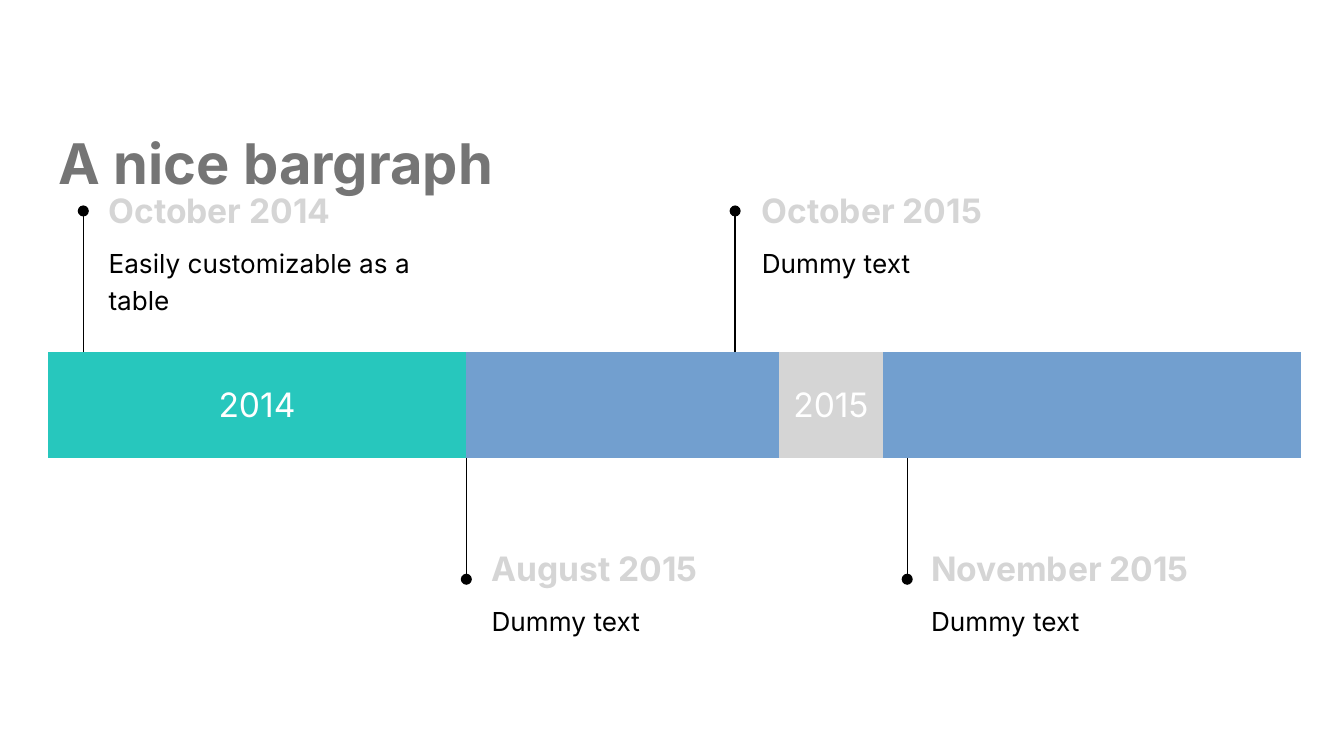
from pptx import Presentation
from pptx import util as u
from pptx.dml.color import RGBColor
from pptx.enum import shapes, text
from pptx.oxml.ns import qn
from lxml import etree

TEAL, GRAY = "27C7BD", "D5D5D5"
BLACK, WHITE, TITLE_GRAY = "000000", "FFFFFF", "757575"
NO_STYLE = "{2D5ABB26-0587-4C30-8999-92F81FD0307C}"
BAR_LEFT, BAR_TOP, BAR_WIDTH, BAR_HEIGHT = 0.36, 2.62, 9.32, 0.79
MONTHS = 12


def color(value):
    return RGBColor.from_string(value)


def write(frame, words, size, fill, bold=False, align=text.PP_ALIGN.LEFT, spacing=None):
    frame.word_wrap = True
    paragraph = frame.paragraphs[0]
    paragraph.alignment = align
    if spacing:
        paragraph.line_spacing = spacing
    run = paragraph.add_run()
    run.text = words
    run.font.name = "Inter"
    run.font.size = u.Pt(size)
    run.font.bold = bold
    run.font.color.rgb = color(fill)


def pad(holder):
    holder.margin_left = holder.margin_right = u.Inches(0.1)
    holder.margin_top = holder.margin_bottom = u.Inches(0.1)


def add_text(slide, box, words, anchor=text.MSO_ANCHOR.TOP, **style):
    frame = slide.shapes.add_textbox(*map(u.Inches, box)).text_frame
    pad(frame)
    frame.vertical_anchor = anchor
    write(frame, words, **style)


def add_bar(slide, left, top, width, height):
    frame = slide.shapes.add_table(1, MONTHS, *map(u.Inches, (left, top, width, height)))
    bar = frame.table
    bar.first_row = bar.horz_banding = False
    bar._tbl.tblPr.find(qn("a:tableStyleId")).text = NO_STYLE
    for month in bar.columns:
        month.width = u.Inches(width / MONTHS)
    for first, last, year, fill in ((0, 3, "2014", TEAL), (4, 11, "2015", GRAY)):
        cell = bar.cell(0, first)
        cell.merge(bar.cell(0, last))
        cell.fill.solid()
        cell.fill.fore_color.rgb = color(fill)
        write(cell.text_frame, year, size=18, fill=WHITE, align=text.PP_ALIGN.CENTER)
        cell.vertical_anchor = text.MSO_ANCHOR.MIDDLE
        pad(cell)


def add_pin(slide, x, start, end):
    pin = slide.shapes.add_connector(
        shapes.MSO_CONNECTOR.STRAIGHT, *map(u.Inches, (x, start, x, end)))
    pin.line.color.rgb = color(BLACK)
    pin.line.width = u.Pt(0.75)
    etree.SubElement(pin.line._get_or_add_ln(), qn("a:tailEnd"), type="oval")
    etree.SubElement(pin._element.spPr, qn("a:effectLst"))


def add_event(slide, left, top, width, date, detail):
    add_text(slide, (left, top, width, 0.43), date, size=18, fill=GRAY,
             bold=True, anchor=text.MSO_ANCHOR.MIDDLE)
    add_text(slide, (left, top + 0.36, width, 0.63), detail, size=14,
             fill=BLACK, spacing=1.15)


def main():
    deck = Presentation()
    deck.slide_width = u.Inches(10)
    deck.slide_height = u.Inches(10 * 9 / 16)
    slide = deck.slides.add_slide(deck.slide_layouts[6])

    add_text(slide, (0.34, 0.86, 9.32, 0.7), "A nice bargraph",
             size=30, fill=TITLE_GRAY, bold=True)
    add_bar(slide, BAR_LEFT, BAR_TOP, BAR_WIDTH, BAR_HEIGHT)

    above = (BAR_TOP, 1.57, 1.35)
    below = (BAR_TOP + BAR_HEIGHT, 4.31, 4.01)
    events = [
        (0.62, 0.71, 2.53, above, "October 2014", "Easily customizable as a table"),
        (3.47, 3.56, 2.53, below, "August 2015", "Dummy text"),
        (5.47, 5.57, 2.57, above, "October 2015", "Dummy text"),
        (6.75, 6.83, 2.57, below, "November 2015", "Dummy text"),
    ]
    for pin_x, left, width, (start, end, top), date, detail in events:
        add_pin(slide, pin_x, start, end)
        add_event(slide, left, top, width, date, detail)

    deck.save("out.pptx")


if __name__ == "__main__":
    main()
